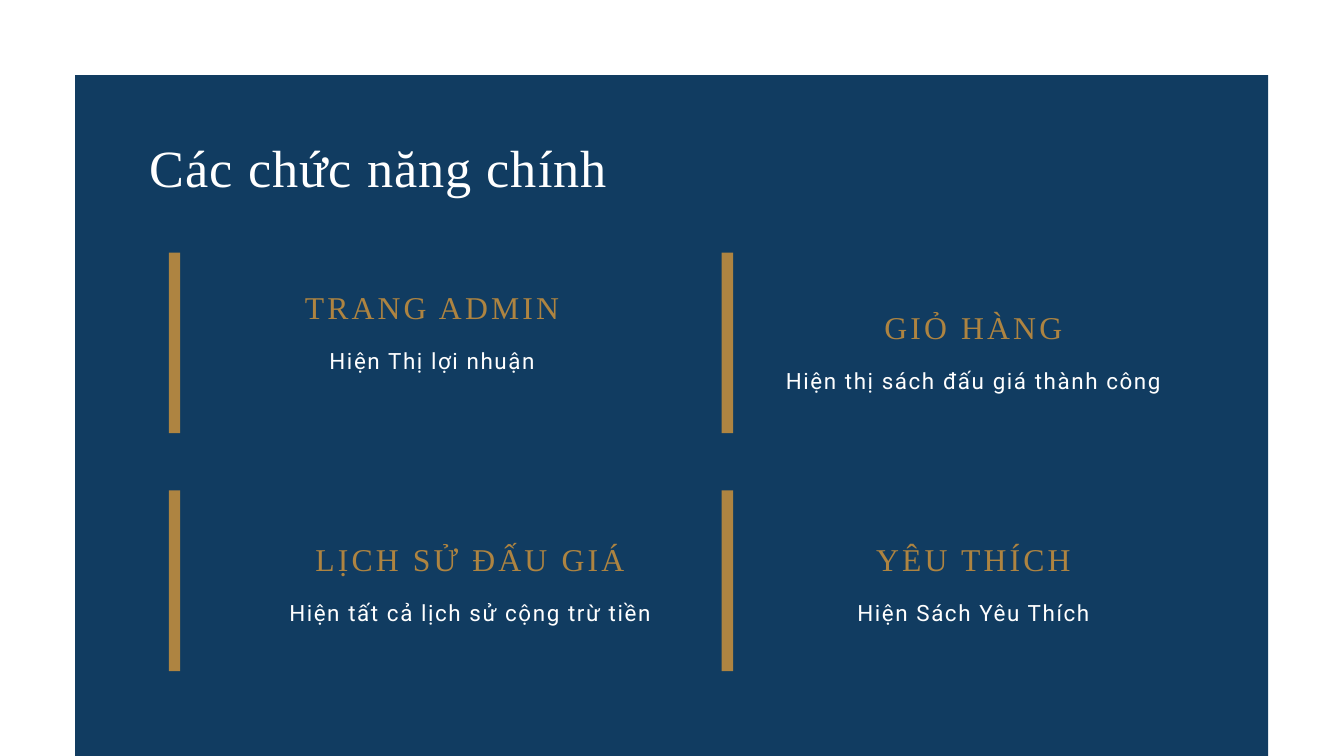
from pptx import Presentation
from pptx import util as u
from pptx.dml.color import RGBColor
from pptx.enum import shapes, text

NAVY = RGBColor(0x11, 0x3C, 0x61)
GOLD = RGBColor(0xAE, 0x84, 0x41)
WHITE = RGBColor(0xFF, 0xFF, 0xFF)
SERIF, SANS = "Times New Roman", "Roboto"

presentation = Presentation()
presentation.slide_width = u.Cm(50.8)
presentation.slide_height = u.Cm(28.58)
slide = presentation.slides.add_slide(presentation.slide_layouts[5])


def add_block(left, top, width, height, color):
    block = slide.shapes.add_shape(
        shapes.MSO_SHAPE.RECTANGLE, u.Cm(left), u.Cm(top), u.Cm(width), u.Cm(height)
    )
    block.shadow.inherit = False
    block.fill.solid()
    block.fill.fore_color.rgb = color
    block.line.fill.background()


def write_line(shape, content, name, size, color, line_height, tracking, alignment):
    frame = shape.text_frame
    frame.margin_left = frame.margin_right = frame.margin_top = frame.margin_bottom = 0
    frame.word_wrap = True
    frame.auto_size = text.MSO_AUTO_SIZE.NONE
    frame.vertical_anchor = text.MSO_ANCHOR.TOP
    frame.text = content
    paragraph = frame.paragraphs[0]
    paragraph.alignment = alignment
    paragraph.line_spacing = u.Pt(line_height)
    paragraph.font.name = name
    paragraph.font.size = u.Pt(size)
    paragraph.font.color.rgb = color
    paragraph.font._element.set("spc", str(tracking))


add_block(2.84, 2.84, 45.09, 26.59, NAVY)

title = slide.shapes.title
slide.shapes._spTree.append(title._element)
title.left, title.top, title.width, title.height = u.Cm(5.66), u.Cm(4.88), u.Cm(39.5), u.Cm(2.51)
write_line(title, "Các chức năng chính", SERIF, 56, WHITE, 73.4, 110, text.PP_ALIGN.LEFT)

features = [
    ("TRANG ADMIN", "Hiện Thị lợi nhuận", 8.26, 10.87, 16.15),
    ("GIỎ HÀNG", "Hiện thị sách đấu giá thành công", 29.16, 11.65, 15.27),
    ("LỊCH SỬ ĐẤU GIÁ", "Hiện tất cả lịch sử cộng trừ tiền", 8.26, 20.4, 19.02),
    ("YÊU THÍCH", "Hiện Sách Yêu Thích", 29.16, 20.4, 15.27),
]
for heading, description, left, top, width in features:
    heading_box = slide.shapes.add_textbox(u.Cm(left), u.Cm(top), u.Cm(width), u.Cm(1.4))
    write_line(heading_box, heading, SERIF, 34, GOLD, 40.8, 340, text.PP_ALIGN.CENTER)
    description_box = slide.shapes.add_textbox(u.Cm(left), u.Cm(top + 1.9), u.Cm(width), u.Cm(1.22))
    write_line(description_box, description, SANS, 24, WHITE, 38.4, 170, text.PP_ALIGN.CENTER)

for bar_top in (9.55, 18.54):
    for bar_left in (6.38, 27.28):
        add_block(bar_left, bar_top, 0.43, 6.83, GOLD)

presentation.save("out.pptx")
